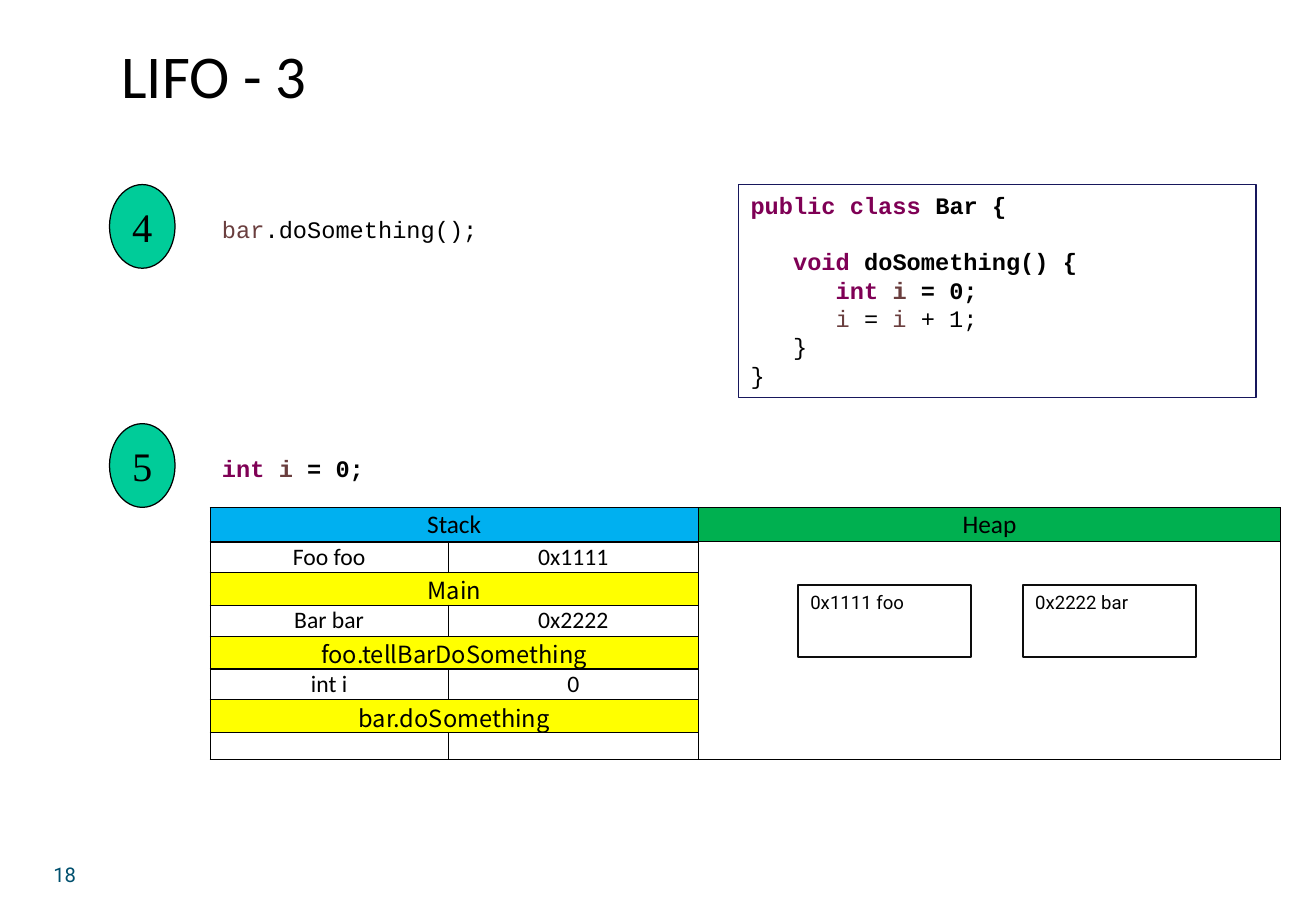
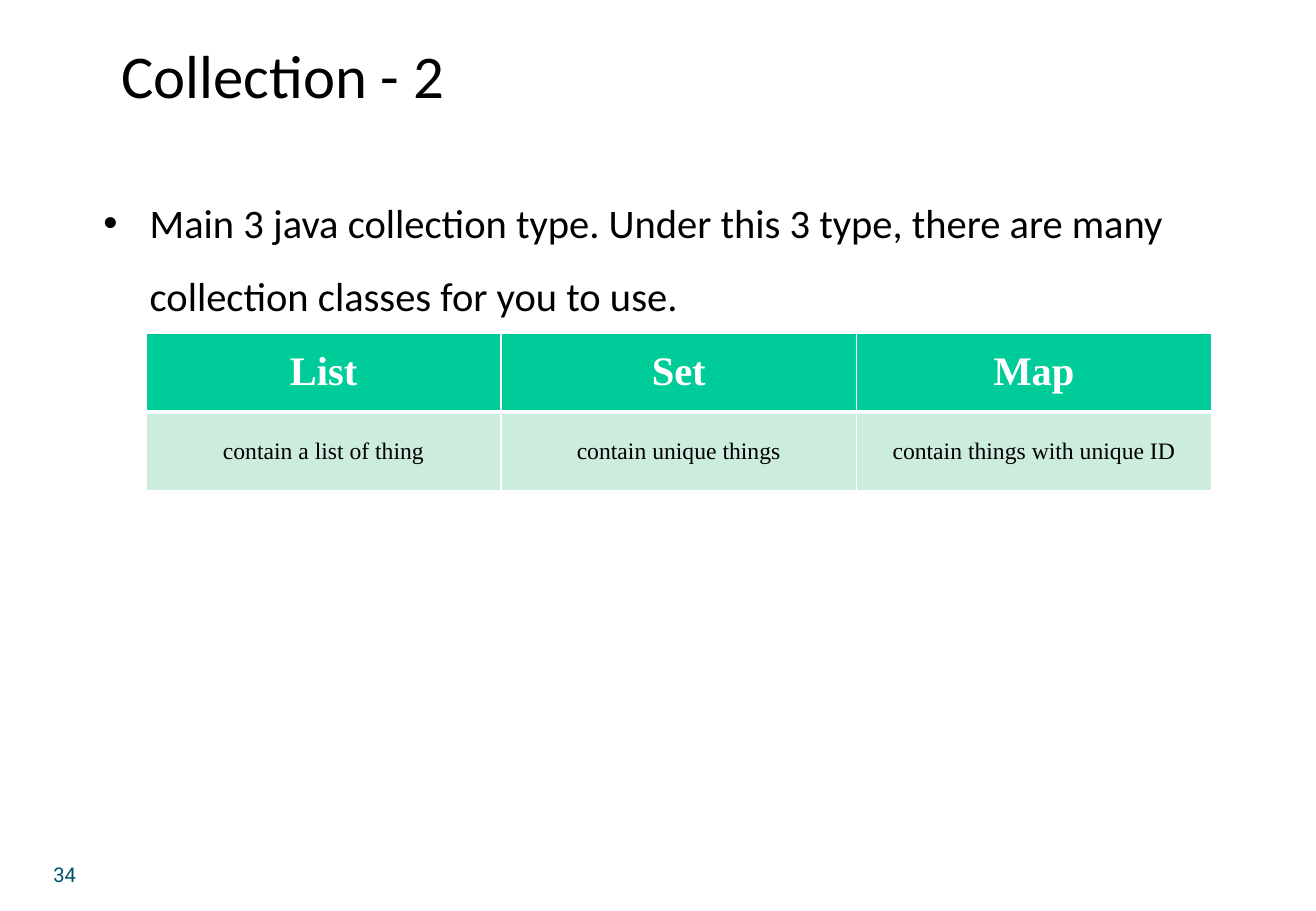
import collections

import lxml.etree
import pptx
import pptx.dml.color
import pptx.enum.shapes
import pptx.enum.text
import pptx.oxml.ns
import pptx.util

Cm = pptx.util.Cm
Pt = pptx.util.Pt
RGBColor = pptx.dml.color.RGBColor
ALIGN = pptx.enum.text.PP_ALIGN
ANCHOR = pptx.enum.text.MSO_ANCHOR
SHAPE = pptx.enum.shapes.MSO_SHAPE
qn = pptx.oxml.ns.qn

BLACK = RGBColor(0x00, 0x00, 0x00)
WHITE = RGBColor(0xFF, 0xFF, 0xFF)
TEAL = RGBColor(0x00, 0x50, 0x6E)
NAVY = RGBColor(0x17, 0x17, 0x5C)
KEYWORD = RGBColor(0x7F, 0x00, 0x55)
VARIABLE = RGBColor(0x6A, 0x3E, 0x3E)
MINT = RGBColor(0x00, 0xCC, 0x99)
PALE_MINT = RGBColor(0xCC, 0xEC, 0xDE)
STACK_BLUE = RGBColor(0x00, 0xB0, 0xF0)
HEAP_GREEN = RGBColor(0x00, 0xB0, 0x50)
FRAME_YELLOW = RGBColor(0xFF, 0xFF, 0x00)
OBJECT_LINE = RGBColor(0x0D, 0x0D, 0x0D)

SANS, SERIF, CODE = "Calibri", "Times New Roman", "Courier New"
LABEL, FRAME_FONT = "Roboto", "Noto Sans CJK TC"
CODE_SIZE = 14
CODE_LINE = Pt(16.8)
CODE_INDENT = 0.89

# All box values are centimetres.
Box = collections.namedtuple("Box", "left top width height")
Span = collections.namedtuple("Span", "text color bold", defaults=(BLACK, False))

TITLE_BOX = Box(2.29, 0.66, 22.68, 1.8)
NUMBER_BOX = Box(0.58, 17.91, 1.55, 0.58)

DECLARATION = [Span("int ", KEYWORD, True), Span("i", VARIABLE, True),
               Span(" = 0;", BLACK, True)]
# Each line: indent level, blank lines above, spans.
BAR_CLASS = [
    (0, 0, [Span("public class", KEYWORD, True), Span(" Bar {", BLACK, True)]),
    (1, 1, [Span("void ", KEYWORD, True), Span("doSomething() {", BLACK, True)]),
    (2, 0, DECLARATION),
    (2, 0, [Span("i ", VARIABLE), Span("= "), Span("i", VARIABLE), Span(" + 1;")]),
    (1, 0, [Span("}")]),
    (0, 0, [Span("}")]),
]
STACK_ROWS = [
    ("Foo foo", "0x1111"), ("Main",),
    ("Bar bar", "0x2222"), ("foo.tellBarDoSomething",),
    ("int i", "0"), ("bar.doSomething",),
    ("", ""),
]
COLLECTIONS = [
    ("List", "contain a list of thing"),
    ("Set", "contain unique things"),
    ("Map", "contain things with unique ID"),
]


def lengths(box):
    return [Cm(value) for value in box]


def write(para, spans, font, size, align=ALIGN.LEFT):
    para.alignment = align
    for span in spans:
        run = para.add_run()
        run.text = span.text
        run.font.name = font
        run.font.size = Pt(size)
        run.font.bold = span.bold
        run.font.color.rgb = span.color


def add_text(slide, box, spans, font, size, align=ALIGN.LEFT):
    frame = slide.shapes.add_textbox(*lengths(box)).text_frame
    frame.word_wrap = True
    para = frame.paragraphs[0]
    write(para, spans, font, size, align)
    return para


def add_outlined(slide, kind, box, fill, line, width, anchor=ANCHOR.TOP):
    """Add a preset shape and return its text frame."""
    shape = slide.shapes.add_shape(kind, *lengths(box))
    shape.shadow.inherit = False
    if fill is None:
        shape.fill.background()
    else:
        shape.fill.solid()
        shape.fill.fore_color.rgb = fill
    shape.line.color.rgb = line
    shape.line.width = Pt(width)
    shape.text_frame.vertical_anchor = anchor
    return shape.text_frame


def add_plain_table(slide, box, widths, heights):
    """Add a table without style banding."""
    table = slide.shapes.add_table(len(heights), len(widths), *lengths(box)).table
    table.first_row = table.horz_banding = False
    for column, width in zip(table.columns, widths):
        column.width = Cm(width)
    for row, height in zip(table.rows, heights):
        row.height = Cm(height)
    return table


def style_cell(cell, fill, line, top, bottom, side):
    """Set cell borders (widths in points), then its fill."""
    properties = cell._tc.get_or_add_tcPr()
    for tag, width in (("a:lnL", side), ("a:lnR", side), ("a:lnT", top), ("a:lnB", bottom)):
        edge = lxml.etree.SubElement(properties, qn(tag), w=str(Pt(width)))
        solid = lxml.etree.SubElement(edge, qn("a:solidFill"))
        lxml.etree.SubElement(solid, qn("a:srgbClr"), val=str(line))
    if fill is None:
        cell.fill.background()
    else:
        cell.fill.solid()
        cell.fill.fore_color.rgb = fill
    cell.vertical_anchor = ANCHOR.MIDDLE


def add_base_slide(deck, title, number):
    slide = deck.slides.add_slide(deck.slide_layouts[6])
    add_text(slide, NUMBER_BOX, [Span(number, TEAL)], LABEL, 12, ALIGN.CENTER)
    add_text(slide, TITLE_BOX, [Span(title)], SANS, 36)
    return slide


def add_step(slide, box, number, spans):
    """Add a numbered oval with one code statement beside it."""
    oval = Box(box.left, box.top, 1.37, box.height)
    frame = add_outlined(slide, SHAPE.OVAL, oval, MINT, BLACK, 0.75, ANCHOR.MIDDLE)
    frame.word_wrap = False
    write(frame.paragraphs[0], [Span(number)], SERIF, 24, ALIGN.CENTER)
    statement = Box(box.left + 2.1, box.top + 0.5, box.width - 2.1, 0.86)
    add_text(slide, statement, spans, CODE, CODE_SIZE)


def add_code_box(slide, box, lines):
    frame = add_outlined(slide, SHAPE.RECTANGLE, box, None, NAVY, 0.75)
    for index, (level, blanks, spans) in enumerate(lines):
        para = frame.add_paragraph() if index else frame.paragraphs[0]
        para.line_spacing = CODE_LINE
        para.space_before = blanks * CODE_LINE
        para._p.get_or_add_pPr().set("marL", str(Cm(level * CODE_INDENT)))
        write(para, spans, CODE, CODE_SIZE)


def add_memory_table(slide, box):
    """Add the stack rows and the heap area with its objects."""
    widths = [4.98, 5.23, 12.17]
    heights = [0.71] + [0.64, 0.69] * 3 + [0.56]
    table = add_plain_table(slide, box, widths, heights)
    thick_below = (0, 2, 4)
    for row in range(len(heights)):
        for column in range(len(widths)):
            cell = table.cell(row, column)
            cell.margin_left = cell.margin_right = 0
            cell.margin_top = cell.margin_bottom = 0
            fill = None
            if row == 0:
                fill = HEAP_GREEN if column == 2 else STACK_BLUE
            elif column < 2 and len(STACK_ROWS[row - 1]) == 1:
                fill = FRAME_YELLOW
            top = 1 if column < 2 and row - 1 in thick_below else 0.5
            bottom = 1 if column < 2 and row in thick_below else 0.5
            style_cell(cell, fill, BLACK, top, bottom, 0.5)

    def fill_text(row, column, text, font, size):
        para = table.cell(row, column).text_frame.paragraphs[0]
        if text:
            write(para, [Span(text)], font, size, ALIGN.CENTER)

    table.cell(0, 0).merge(table.cell(0, 1))
    table.cell(1, 2).merge(table.cell(len(heights) - 1, 2))
    fill_text(0, 0, "Stack", SANS, 15)
    fill_text(0, 2, "Heap", SANS, 15)
    for row, texts in enumerate(STACK_ROWS, 1):
        is_frame = len(texts) == 1
        if is_frame:
            table.cell(row, 0).merge(table.cell(row, 1))
        for column, text in enumerate(texts):
            fill_text(row, column, text, FRAME_FONT if is_frame else SANS, 14)
    # Small end marks keep empty cells from stretching their rows.
    for cell in table.iter_cells():
        para = cell.text_frame.paragraphs[0]
        if not para.runs:
            lxml.etree.SubElement(para._p, qn("a:endParaRPr"), sz="1200")

    heap_left = box.left + widths[0] + widths[1]
    for index, label in enumerate(("0x1111 foo", "0x2222 bar")):
        item = Box(heap_left + 2.09 + index * 4.7, box.top + 1.62, 3.61, 1.5)
        frame = add_outlined(slide, SHAPE.RECTANGLE, item, WHITE, OBJECT_LINE, 1.25)
        write(frame.paragraphs[0], [Span(label)], LABEL, 11)


def add_bullet(slide, box, text):
    para = add_text(slide, box, [Span(text)], SANS, 24)
    para.line_spacing = 1.5
    properties = para._p.get_or_add_pPr()
    properties.set("marL", str(Cm(2.24)))
    properties.set("indent", str(Cm(-0.97)))
    lxml.etree.SubElement(properties, qn("a:buFont"), typeface="Arial")
    lxml.etree.SubElement(properties, qn("a:buChar"), char="•")


def add_collection_table(slide, box):
    count = len(COLLECTIONS)
    table = add_plain_table(slide, box, [box.width / count] * count, [box.height / 2] * 2)
    for column, (name, meaning) in enumerate(COLLECTIONS):
        header, body = table.cell(0, column), table.cell(1, column)
        style_cell(header, MINT, WHITE, 1, 3, 1)
        style_cell(body, PALE_MINT, WHITE, 3, 1, 1)
        write(header.text_frame.paragraphs[0], [Span(name, WHITE, True)],
              SERIF, 24, ALIGN.CENTER)
        write(body.text_frame.paragraphs[0], [Span(meaning)], SERIF, 14, ALIGN.CENTER)


def add_lifo_slide(deck):
    slide = add_base_slide(deck, "LIFO - 3", "18")
    add_code_box(slide, Box(15.44, 3.86, 10.82, 4.45), BAR_CLASS)
    call = [Span("bar", VARIABLE), Span(".doSomething();")]
    add_step(slide, Box(2.29, 3.86, 11.35, 1.75), "4", call)
    add_step(slide, Box(2.29, 8.86, 11.35, 1.75), "5", DECLARATION)
    add_memory_table(slide, Box(4.39, 10.62, 22.38, 5.26))


def add_collection_slide(deck):
    slide = add_base_slide(deck, "Collection - 2", "34")
    add_collection_table(slide, Box(3.05, 6.96, 22.28, 3.3))
    add_bullet(slide, Box(0.64, 3.51, 26.01, 3.33),
               "Main 3 java collection type. Under this 3 type, there are many "
               "collection classes for you to use.")


def main():
    deck = pptx.Presentation()
    deck.slide_width, deck.slide_height = Cm(27.51), Cm(19.05)
    add_lifo_slide(deck)
    add_collection_slide(deck)
    deck.save("out.pptx")


if __name__ == "__main__":
    main()
